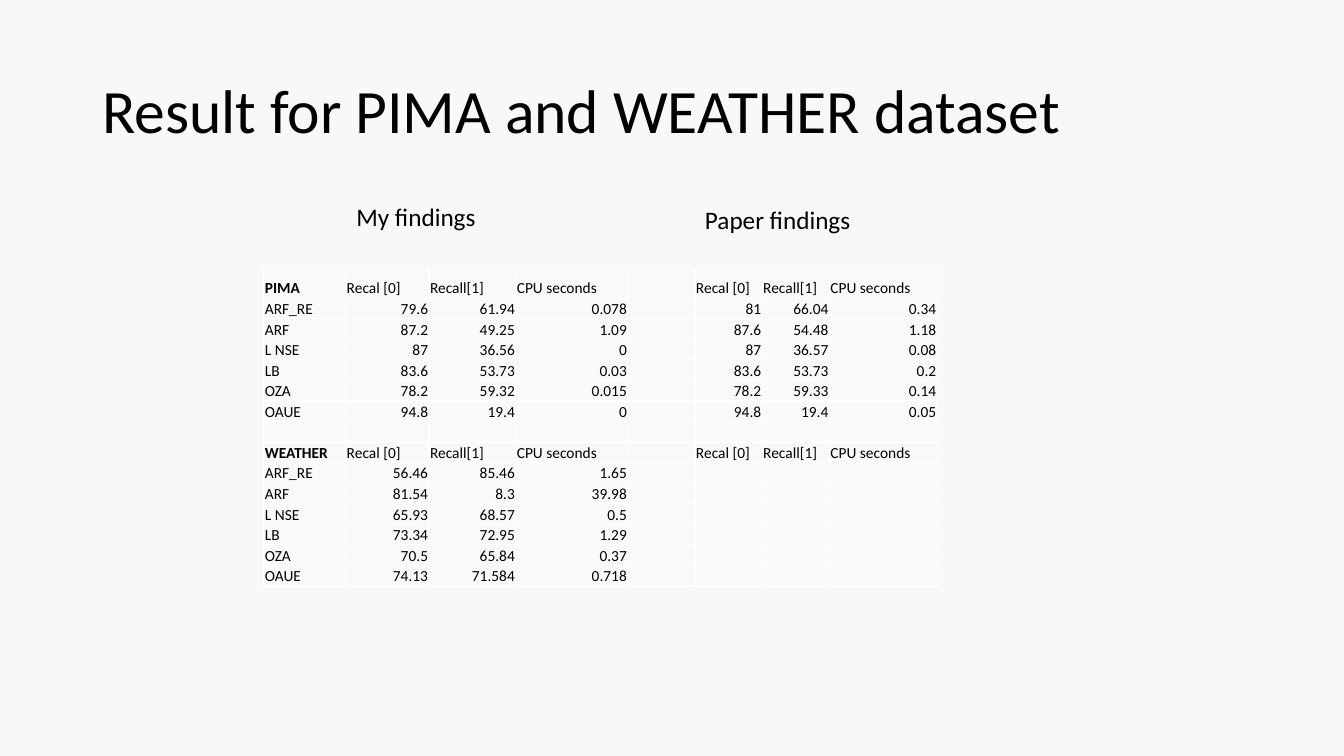
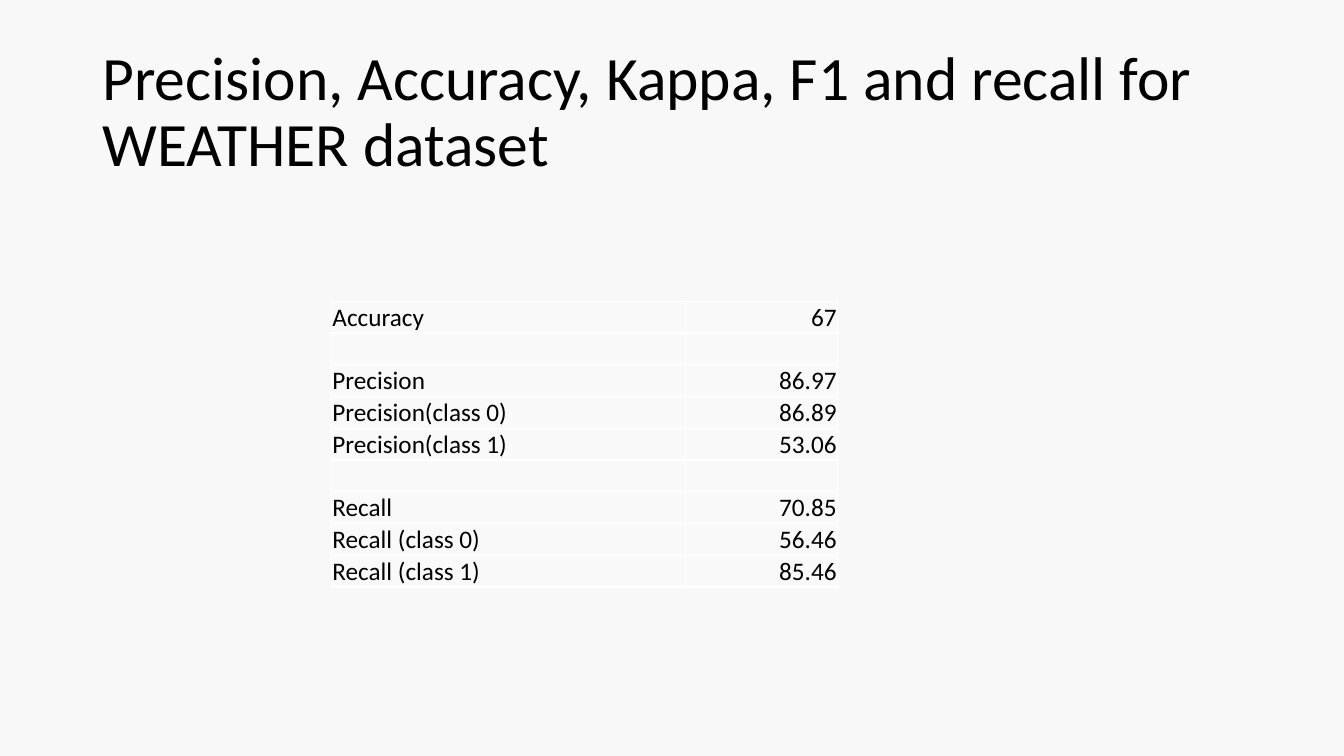
import pptx
import pptx.dml.color
import pptx.enum.text
import pptx.oxml.ns
import pptx.util
from lxml import etree

Pt = pptx.util.Pt
Align = pptx.enum.text.PP_ALIGN
Anchor = pptx.enum.text.MSO_ANCHOR
qn = pptx.oxml.ns.qn

BACKGROUND = pptx.dml.color.RGBColor(0xF8, 0xF8, 0xF8)
CELL_FILL = pptx.dml.color.RGBColor(0xF9, 0xF9, 0xF9)
BORDER = pptx.dml.color.RGBColor(0xFF, 0xFF, 0xFF)
INK = pptx.dml.color.RGBColor(0x00, 0x00, 0x00)
FONT = "Calibri"

TITLE_BOX = (66, 28.8, 828, 104.4)
MEASURES = ["Recal [0]", "Recall[1]", "CPU seconds"]
NO_RESULT = ["", "", ""]

FINDINGS = [
    ["PIMA", *MEASURES, "", *MEASURES],
    ["ARF_RE", "79.6", "61.94", "0.078", "", "81", "66.04", "0.34"],
    ["ARF", "87.2", "49.25", "1.09", "", "87.6", "54.48", "1.18"],
    ["L NSE", "87", "36.56", "0", "", "87", "36.57", "0.08"],
    ["LB", "83.6", "53.73", "0.03", "", "83.6", "53.73", "0.2"],
    ["OZA", "78.2", "59.32", "0.015", "", "78.2", "59.33", "0.14"],
    ["OAUE", "94.8", "19.4", "0", "", "94.8", "19.4", "0.05"],
    [""] * 8,
    ["WEATHER", *MEASURES, "", *MEASURES],
    ["ARF_RE", "56.46", "85.46", "1.65", "", *NO_RESULT],
    ["ARF", "81.54", "8.3", "39.98", "", *NO_RESULT],
    ["L NSE", "65.93", "68.57", "0.5", "", *NO_RESULT],
    ["LB", "73.34", "72.95", "1.29", "", *NO_RESULT],
    ["OZA", "70.5", "65.84", "0.37", "", *NO_RESULT],
    ["OAUE", "74.13", "71.584", "0.718", "", *NO_RESULT],
]

SCORES = [
    ["Accuracy", "67"],
    ["", ""],
    ["Precision", "86.97"],
    ["Precision(class 0)", "86.89"],
    ["Precision(class 1)", "53.06"],
    ["", ""],
    ["Recall", "70.85"],
    ["Recall (class 0)", "56.46"],
    ["Recall (class 1)", "85.46"],
]


def write_text(frame, text, size=18, bold=False, align=Align.LEFT, spacing=None):
    para = frame.paragraphs[0]
    para.alignment = align
    para.line_spacing = spacing
    if not text:
        # The end mark sets the line height of an empty paragraph.
        etree.SubElement(para._p, qn("a:endParaRPr"), sz=str(size * 100))
        return
    span = para.add_run()
    span.text = text
    span.font.name = FONT
    span.font.size = Pt(size)
    span.font.bold = bold
    span.font.color.rgb = INK


def add_text(page, box, text, anchor=Anchor.TOP, **style):
    frame = page.shapes.add_textbox(*map(Pt, box)).text_frame
    frame.word_wrap = True
    frame.vertical_anchor = anchor
    write_text(frame, text, **style)


def add_borders(cell):
    properties = cell._tc.get_or_add_tcPr()
    for side in ("lnL", "lnR", "lnT", "lnB"):
        line = etree.SubElement(properties, qn(f"a:{side}"), w=str(Pt(1)))
        fill = etree.SubElement(line, qn("a:solidFill"))
        etree.SubElement(fill, qn("a:srgbClr"), val=str(BORDER))


def fill_cell(cell, text, size, bold):
    add_borders(cell)
    cell.fill.solid()
    cell.fill.fore_color.rgb = CELL_FILL
    cell.vertical_anchor = Anchor.BOTTOM
    cell.margin_left = cell.margin_right = cell.margin_top = Pt(0.7)
    cell.margin_bottom = 0
    align = Align.RIGHT if text[:1].isdigit() else Align.LEFT
    write_text(cell.text_frame, text, size=size, bold=bold, align=align)


def add_grid(page, left, top, rows, widths, heights, size, bold_labels=()):
    box = (left, top, sum(widths), sum(heights))
    table = page.shapes.add_table(len(rows), len(widths), *map(Pt, box)).table
    table.first_row = table.horz_banding = False
    for column, width in zip(table.columns, widths):
        column.width = Pt(width)
    for row, height, texts in zip(table.rows, heights, rows):
        row.height = Pt(height)
        for cell, text in zip(row.cells, texts):
            fill_cell(cell, text, size, text in bold_labels)


def add_page(deck, title):
    page = deck.slides.add_slide(deck.slide_layouts[6])
    add_text(page, TITLE_BOX, title, anchor=Anchor.MIDDLE, size=44, spacing=0.9)
    return page


def add_findings_page(deck):
    page = add_page(deck, "Result for PIMA and WEATHER dataset")
    add_grid(page, 188.5, 191, FINDINGS,
             widths=[58.5, 59.5, 62, 80, 48, 48, 48, 77],
             heights=[22] + [14.7] * (len(FINDINGS) - 1),
             size=11, bold_labels=("PIMA", "WEATHER"))
    add_text(page, (247.5, 140.4, 199.5, 29), "My findings")
    add_text(page, (496.5, 142.6, 173, 29), "Paper findings")


def add_scores_page(deck):
    page = add_page(deck, "Precision, Accuracy, Kappa, F1 and recall for WEATHER dataset")
    add_grid(page, 236.8, 215.2, SCORES, widths=[252.8, 108.7],
             heights=[22.7] * len(SCORES), size=18)


def main():
    deck = pptx.Presentation()
    deck.slide_width, deck.slide_height = Pt(960), Pt(540)
    backdrop = deck.slide_master.background.fill
    backdrop.solid()
    backdrop.fore_color.rgb = BACKGROUND
    add_findings_page(deck)
    add_scores_page(deck)
    deck.save("out.pptx")


if __name__ == "__main__":
    main()
